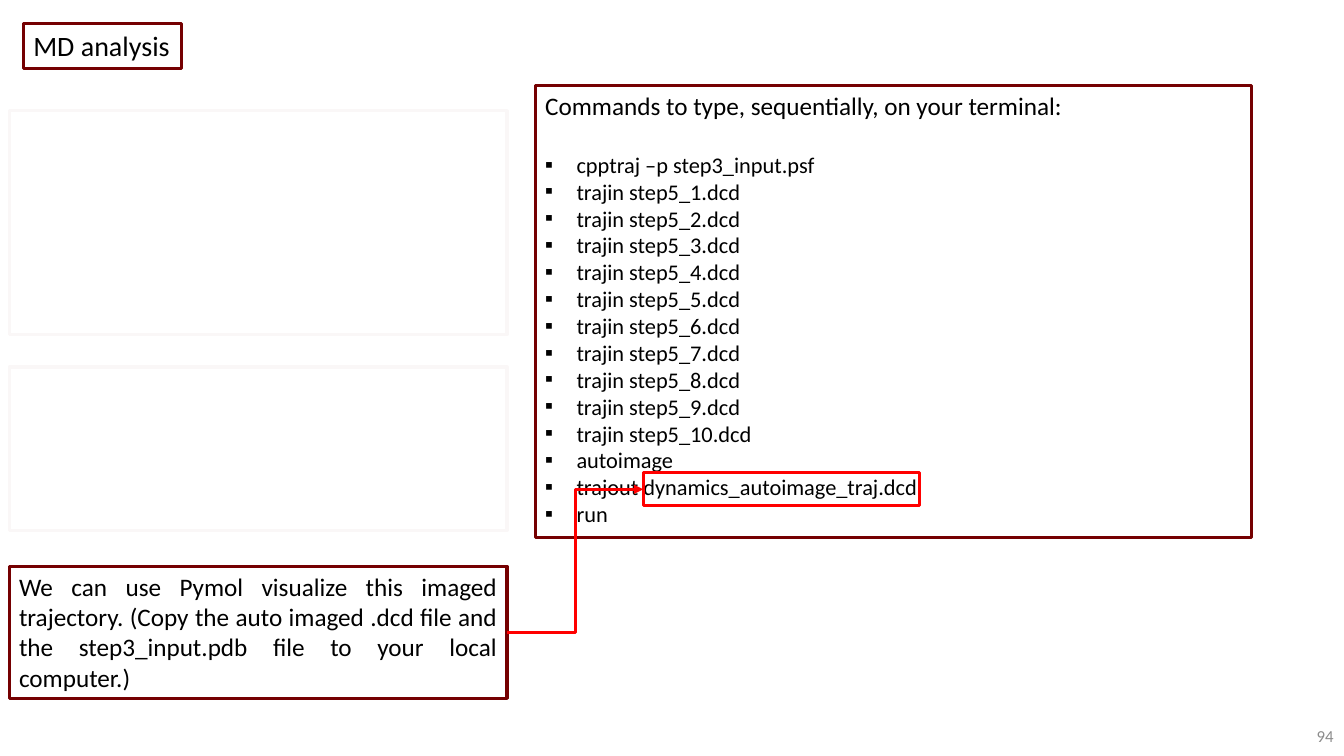
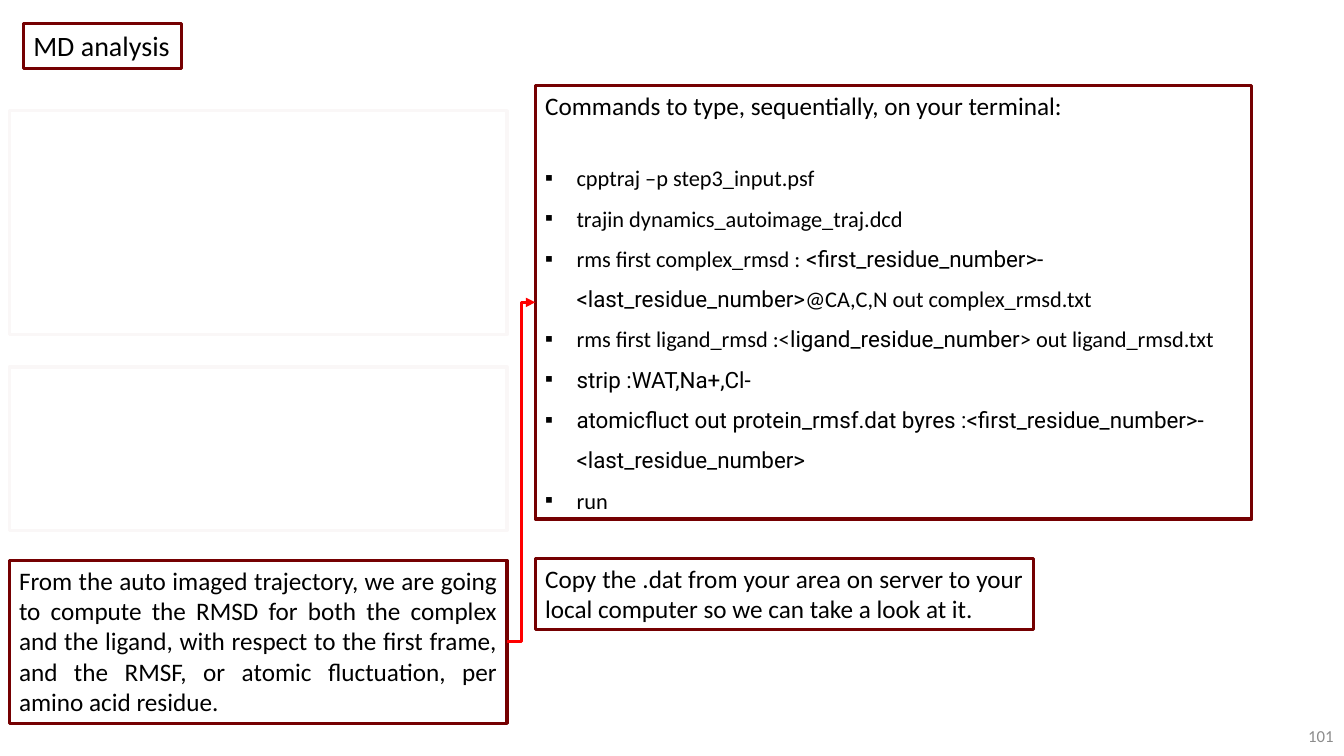
"""Build two slides on molecular dynamics trajectory analysis."""
from dataclasses import dataclass

from lxml.etree import SubElement
from pptx import Presentation
from pptx.dml.color import RGBColor
from pptx.enum.shapes import MSO_CONNECTOR as Connector, MSO_SHAPE as Shape
from pptx.enum.text import MSO_ANCHOR as Anchor, MSO_AUTO_SIZE as AutoSize, PP_ALIGN as Align
from pptx.oxml.ns import qn
from pptx.util import Cm, Pt


@dataclass(frozen=True)
class Theme:
    ink = RGBColor(0x00, 0x00, 0x00)
    paper = RGBColor(0xFF, 0xFF, 0xFF)
    border = RGBColor(0x75, 0x00, 0x01)
    accent = RGBColor(0xFF, 0x00, 0x00)
    muted = RGBColor(0x8C, 0x8C, 0x8C)
    font = "Calibri"
    code_font = "Roboto"
    title = Pt(20)
    body = Pt(18)
    code = Pt(16)
    number = Pt(12)
    heading_gap = Pt(21.5)
    stroke = Pt(2.25)
    veil_stroke = Pt(1)
    veil_alpha = 97000


theme = Theme()


def add_box(slide, left, top, width, height, color=theme.border):
    """Add an unfilled outlined rectangle."""
    box = slide.shapes.add_shape(Shape.RECTANGLE, Cm(left), Cm(top), Cm(width), Cm(height))
    box.shadow.inherit = False
    box.fill.background()
    box.line.color.rgb = color
    box.line.width = theme.stroke
    box.text_frame.word_wrap = True
    box.text_frame.vertical_anchor = Anchor.TOP
    return box


def write(frame, runs, size=theme.body, align=Align.LEFT, color=theme.ink, bullet=False):
    """Write one paragraph from pairs of text and font name."""
    paragraph = frame.paragraphs[0]
    if paragraph.runs:
        paragraph = frame.add_paragraph()
    if bullet:
        properties = paragraph._p.get_or_add_pPr()
        properties.set("marL", str(Cm(0.79)))
        properties.set("indent", str(-Cm(0.79)))
        SubElement(properties, qn("a:buFont")).set("typeface", theme.font)
        SubElement(properties, qn("a:buChar")).set("char", "▪")
    paragraph.alignment = align
    paragraph.font.name = theme.font
    paragraph.font.size = size
    paragraph.font.color.rgb = color
    for text, font in runs:
        run = paragraph.add_run()
        run.text = text
        if font != theme.font:
            run.font.name = font
    return paragraph


NOTE_LEFT, NOTE_WIDTH, COMMANDS_LEFT = 0.23, 12.55, 13.49
plain, code = theme.font, theme.code_font

faded_boxes = [(2.79, 5.64), (9.25, 4.11)]

trajectory_commands = [
    "cpptraj –p step3_input.psf",
    *(f"trajin step5_{part}.dcd" for part in range(1, 11)),
    "autoimage",
    "trajout dynamics_autoimage_traj.dcd",
    "run",
]
rmsd_commands = [
    [("cpptraj –p step3_input.psf", plain)],
    [("trajin dynamics_autoimage_traj.dcd", plain)],
    [("rms first complex_rmsd :", plain),
     (" <first_residue_number>-<last_residue_number>", code),
     ("@CA,C,N out complex_rmsd.txt", plain)],
    [("rms first ligand_rmsd :<", plain),
     ("ligand_residue_number", code),
     ("> out ligand_rmsd.txt", plain)],
    [("strip :WAT,Na+,Cl-", code)],
    [("atomicfluct out protein_rmsf.dat byres :"
      "<first_residue_number>-<last_residue_number>", code)],
    [("run", plain)],
]

pages = [
    {"number": "94", "commands": [[(command, plain)] for command in trajectory_commands],
     "height": 11.38, "spacing": 1.0, "target": (16.21, 11.91, 6.96, 0.84),
     "notes": [(NOTE_LEFT, 14.27, 3.33,
                "We can use Pymol visualize this imaged trajectory. (Copy the auto imaged .dcd "
                "file and the step3_input.pdb file to your local computer.)")]},
    {"number": "101", "commands": rmsd_commands,
     "height": 10.92, "spacing": 1.5, "target": None,
     "notes": [(NOTE_LEFT, 14.12, 4.11,
                "From the auto imaged trajectory, we are going to compute the RMSD for both the "
                "complex and the ligand, with respect to the first frame, and the RMSF, or "
                "atomic fluctuation, per amino acid residue."),
               (COMMANDS_LEFT, 14.07, 1.8,
                "Copy the .dat from your area on server to your local computer so we can take "
                "a look at it.")]},
]

presentation = Presentation()
presentation.slide_width, presentation.slide_height = Cm(33.87), Cm(19.05)

for page in pages:
    slide = presentation.slides.add_slide(presentation.slide_layouts[6])

    number = slide.shapes.add_textbox(Cm(26.24), Cm(18.03), Cm(7.62), Cm(1.02)).text_frame
    number.word_wrap = True
    number.vertical_anchor = Anchor.MIDDLE
    write(number, [(page["number"], plain)], theme.number, Align.RIGHT, theme.muted)

    title = add_box(slide, 0.59, 0.6, 3.99, 1.12).text_frame
    title.word_wrap = False
    title.auto_size = AutoSize.SHAPE_TO_FIT_TEXT
    write(title, [("MD analysis", plain)], theme.title)

    for top, height in faded_boxes:
        add_box(slide, NOTE_LEFT, top, NOTE_WIDTH, height)

    veil = add_box(slide, 0, 2.26, 13.69, 11.28, theme.paper)
    veil.line.width = theme.veil_stroke
    veil.fill.solid()
    veil.fill.fore_color.rgb = theme.paper
    veil_color = veil.fill._xPr.find(qn("a:solidFill"))[0]
    SubElement(veil_color, qn("a:alpha")).set("val", str(theme.veil_alpha))

    commands = add_box(slide, COMMANDS_LEFT, 2.16, 18.06, page["height"])
    commands.text_frame.auto_size = AutoSize.SHAPE_TO_FIT_TEXT
    heading = write(commands.text_frame,
                    [("Commands to type, sequentially, on your terminal:", plain)])
    heading.space_after = theme.heading_gap
    for runs in page["commands"]:
        command = write(commands.text_frame, runs, theme.code, bullet=True)
        command.line_spacing = page["spacing"]

    notes = []
    for left, top, height, text in page["notes"]:
        note = add_box(slide, left, top, NOTE_WIDTH, height)
        note.text_frame.auto_size = AutoSize.SHAPE_TO_FIT_TEXT
        write(note.text_frame, [(text, plain)], align=Align.JUSTIFY)
        notes.append(note)

    target = add_box(slide, *page["target"], theme.accent) if page["target"] else commands
    arrow = slide.shapes.add_connector(Connector.ELBOW, 0, 0, 0, 0)
    arrow.begin_connect(notes[0], 3)
    arrow.end_connect(target, 1)
    arrow.line.color.rgb = theme.accent
    arrow.line.width = theme.stroke
    SubElement(arrow.line._get_or_add_ln(), qn("a:tailEnd")).set("type", "triangle")
    SubElement(arrow._element.spPr, qn("a:effectLst"))

presentation.save("out.pptx")
